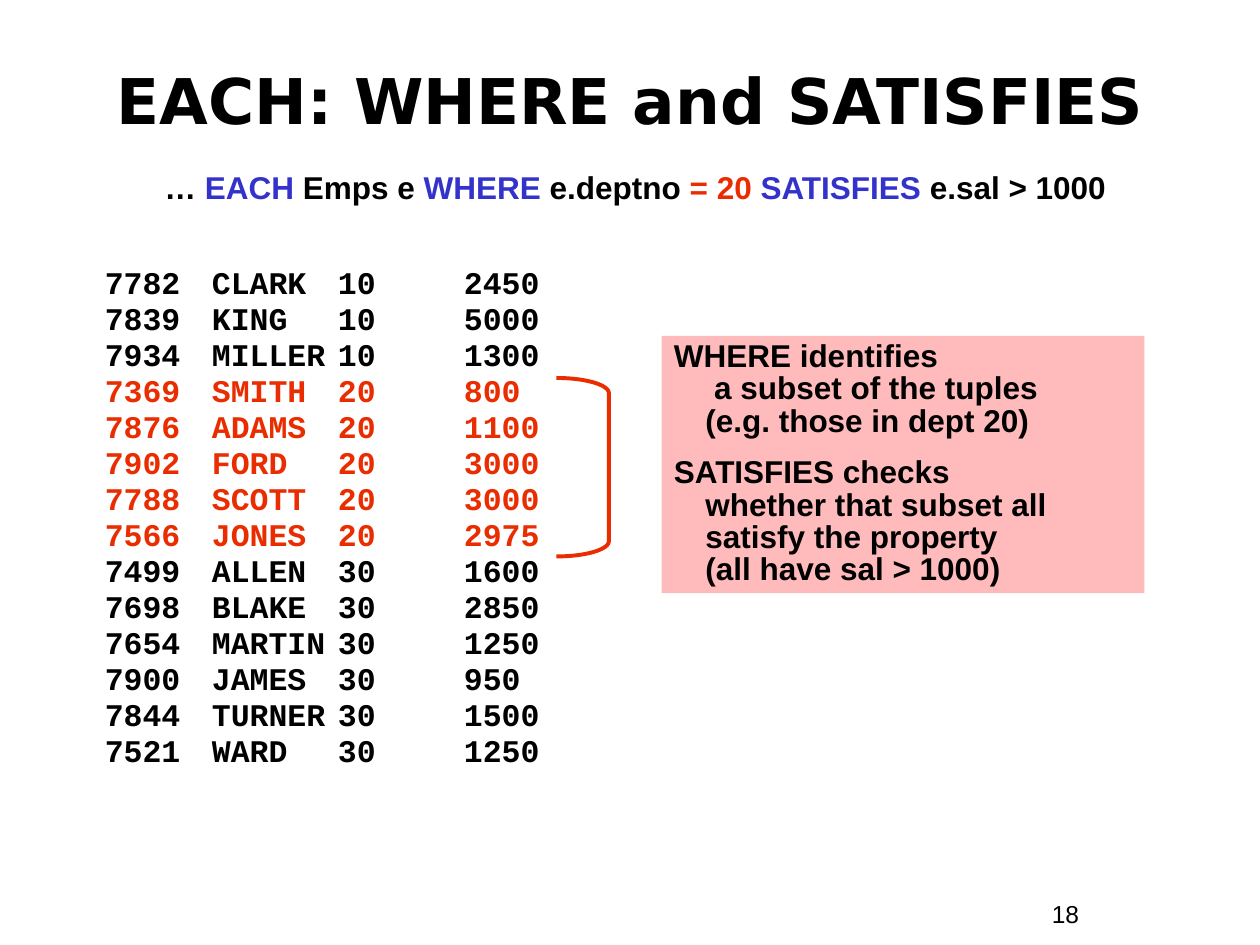
from lxml.etree import SubElement
from pptx import Presentation
from pptx.dml.color import RGBColor
from pptx.enum.shapes import MSO_SHAPE
from pptx.enum.text import MSO_ANCHOR, MSO_AUTO_SIZE, PP_ALIGN
from pptx.oxml.ns import qn
from pptx.util import Pt

BLACK, BLUE, RED, PINK = "000000", "3333CC", "EA2D00", "FFBBBB"


def rgb(value):
    return RGBColor.from_string(value)


def style(paragraph, color=BLACK, font="Arial", size=18, bold=True):
    for run in paragraph.runs:
        run.font.name = font
        run.font.size = Pt(size)
        run.font.bold = bold
        run.font.color.rgb = rgb(color)


prs = Presentation()
prs.slide_width, prs.slide_height = Pt(720), Pt(540)
slide = prs.slides.add_slide(prs.slide_layouts[5])
shapes = slide.shapes

title = shapes.title
title.left, title.top, title.width, title.height = Pt(24), Pt(24), Pt(672), Pt(66)
title.text_frame.text = "EACH: WHERE and SATISFIES"
title.text_frame.auto_size = MSO_AUTO_SIZE.NONE
title.text_frame.vertical_anchor = MSO_ANCHOR.MIDDLE
heading = title.text_frame.paragraphs[0]
heading.alignment = PP_ALIGN.CENTER
style(heading, font="DejaVu Sans", size=36)

page_number = shapes.add_textbox(Pt(594), Pt(510), Pt(66), Pt(24.5))
page_number.text_frame.word_wrap = True
page_number.text_frame.text = "18"
style(page_number.text_frame.paragraphs[0], size=14, bold=False)

query = shapes.add_textbox(Pt(72), Pt(96), Pt(582), Pt(26))
query.text_frame.word_wrap = True
clause = query.text_frame.paragraphs[0]
clause.alignment = PP_ALIGN.CENTER
clause.line_spacing = 0.85
query_parts = [
    ("… ", BLACK), ("EACH", BLUE), (" Emps e ", BLACK), ("WHERE ", BLUE),
    ("e.deptno", BLACK), (" = 20 ", RED), ("SATISFIES", BLUE), (" e.sal > 1000", BLACK),
]
for words, _ in query_parts:
    clause.add_run().text = words
style(clause)
for run, (_, color) in zip(clause.runs, query_parts):
    run.font.color.rgb = rgb(color)

employees = [
    (7782, "CLARK", 10, 2450),
    (7839, "KING", 10, 5000),
    (7934, "MILLER", 10, 1300),
    (7369, "SMITH", 20, 800),
    (7876, "ADAMS", 20, 1100),
    (7902, "FORD", 20, 3000),
    (7788, "SCOTT", 20, 3000),
    (7566, "JONES", 20, 2975),
    (7499, "ALLEN", 30, 1600),
    (7698, "BLAKE", 30, 2850),
    (7654, "MARTIN", 30, 1250),
    (7900, "JAMES", 30, 950),
    (7844, "TURNER", 30, 1500),
    (7521, "WARD", 30, 1250),
]
emps = shapes.add_textbox(Pt(42), Pt(150), Pt(288), Pt(294))
emps.text_frame.word_wrap = True
emps.text_frame.text = "\n".join(
    " " + "\t".join(str(field) for field in employee) for employee in employees
)
for index, row in enumerate(emps.text_frame.paragraphs):
    row.line_spacing = 0.85
    row.space_before = Pt(2.2 if index else 0)
    tabs = SubElement(row._p.get_or_add_pPr(), qn("a:tabLst"))
    for column in range(1, 4):
        SubElement(tabs, qn("a:tab"), pos=str(Pt(72 * column)), algn="l")
    style(row, RED if employees[index][2] == 20 else BLACK, "Courier New")

bracket = shapes.add_shape(MSO_SHAPE.RIGHT_BRACKET, Pt(318), Pt(216), Pt(30), Pt(102))
bracket.adjustments[0] = 0.29
bracket.shadow.inherit = False
bracket.fill.background()
bracket.line.color.rgb = rgb(RED)
bracket.line.width = Pt(2.25)

explanation = shapes.add_shape(MSO_SHAPE.RECTANGLE, Pt(378), Pt(192), Pt(276), Pt(147))
explanation.shadow.inherit = False
explanation.fill.solid()
explanation.fill.fore_color.rgb = rgb(PINK)
explanation.line.fill.background()
notes = explanation.text_frame
notes.word_wrap = True
notes.vertical_anchor = MSO_ANCHOR.TOP
notes.text = (
    "WHERE identifies\v a subset of the tuples\v(e.g. those in dept 20)\n"
    "SATISFIES checks\vwhether that subset all satisfy the property\v(all have sal > 1000)"
)
for index, note in enumerate(notes.paragraphs):
    note.alignment = PP_ALIGN.LEFT
    note.line_spacing = 0.85
    note.space_before = Pt(11.2 if index else 0)
    indents = note._p.get_or_add_pPr()
    indents.set("marL", str(Pt(18)))
    indents.set("indent", str(Pt(-18)))
    style(note)

prs.save("out.pptx")
